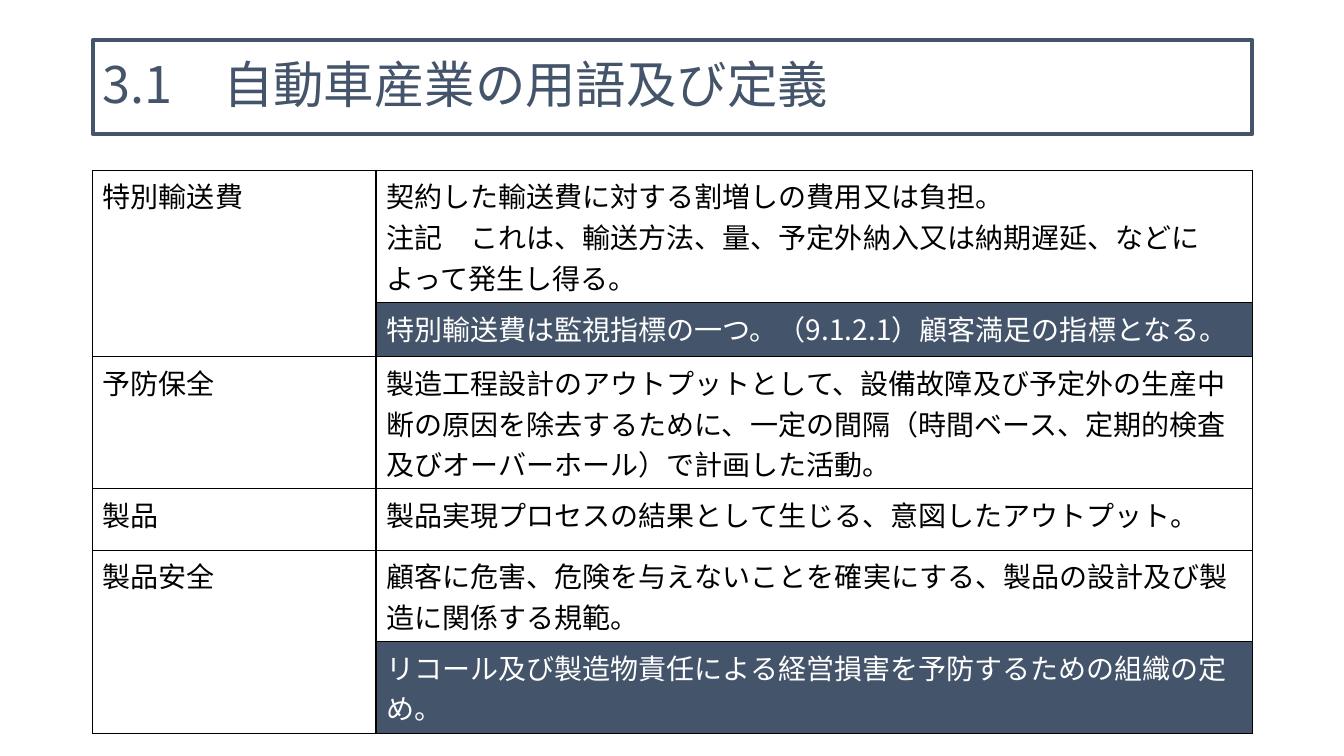
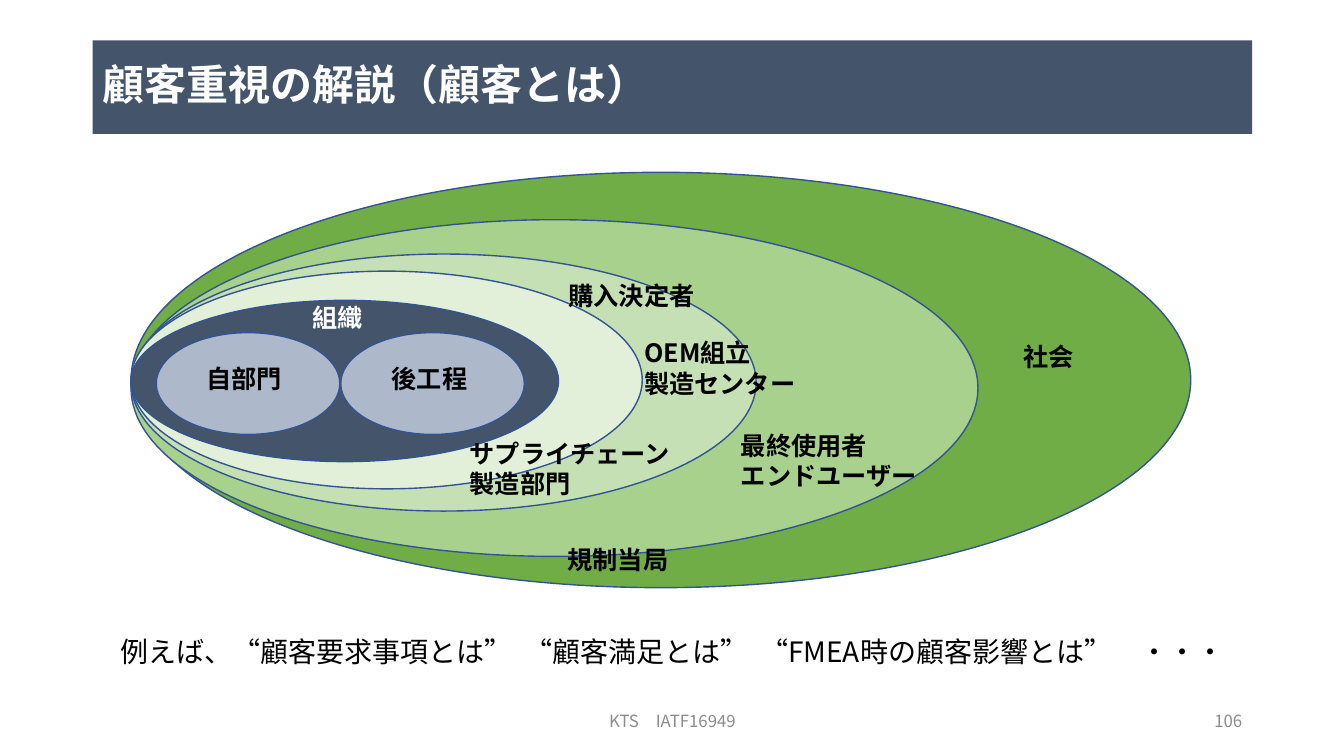
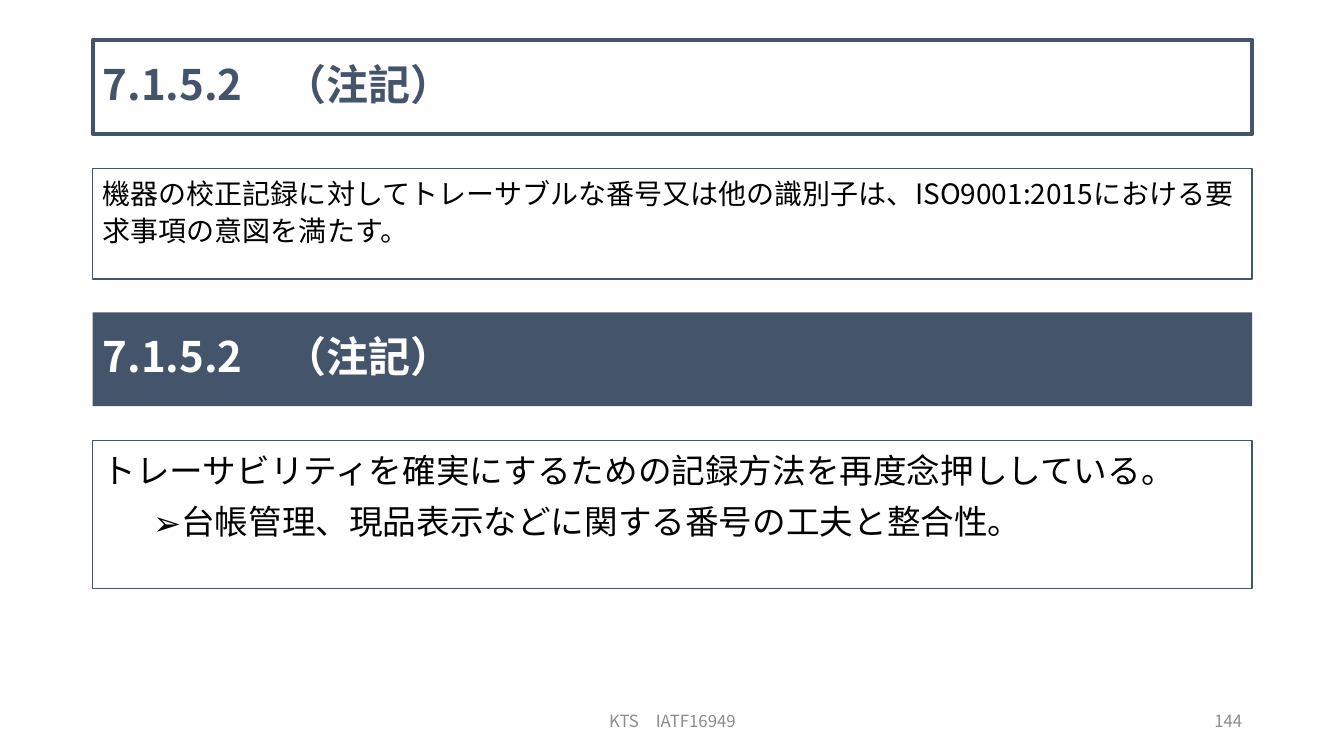
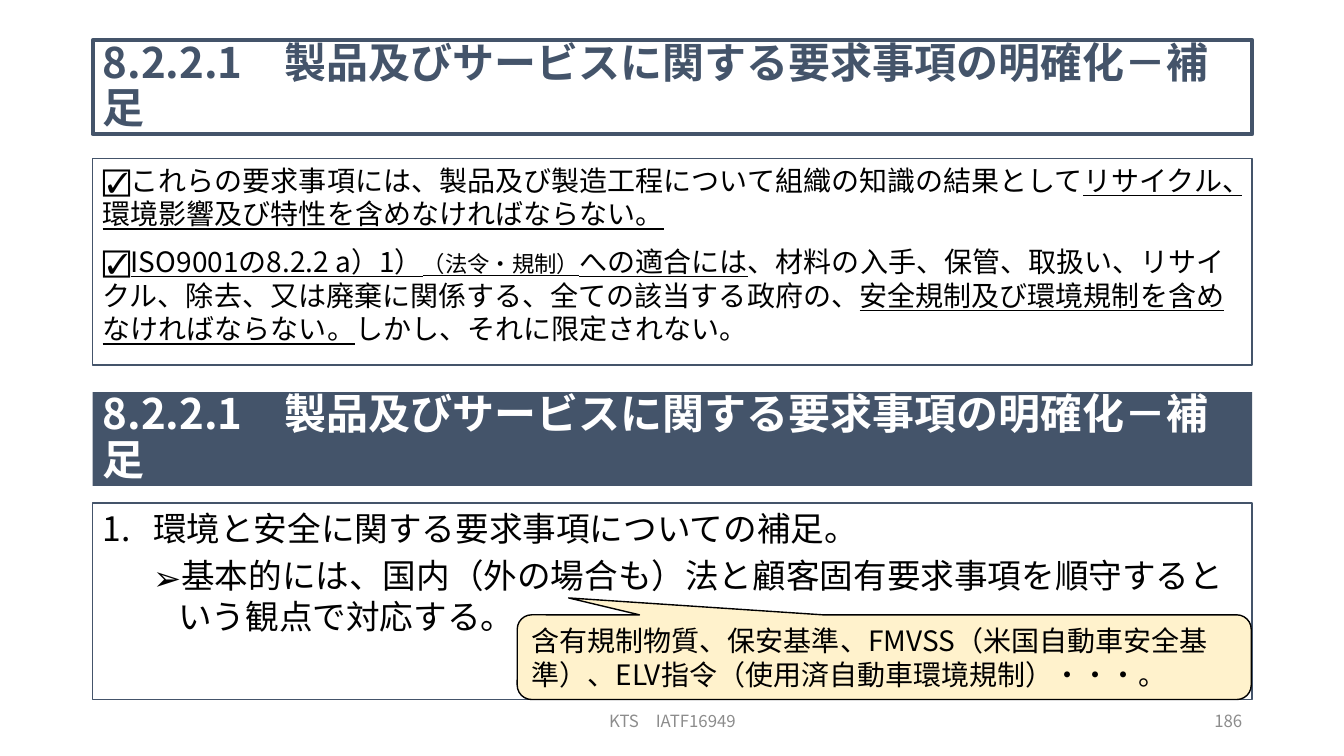
from collections.abc import Sequence
from dataclasses import dataclass, field
from typing import Any, NamedTuple

import lxml.etree
import pptx
import pptx.dml.color
import pptx.enum.shapes
import pptx.enum.text
import pptx.oxml.ns
import pptx.util

SHAPE = pptx.enum.shapes.MSO_SHAPE
ALIGN = pptx.enum.text.PP_ALIGN
ANCHOR = pptx.enum.text.MSO_ANCHOR
EMU_PER_PX = 9144  # 100 px to the inch


@dataclass(frozen=True)
class Theme:
    font: str = "Noto Sans CJK JP"
    navy: str = "44546A"
    white: str = "FFFFFF"
    black: str = "000000"
    grey: str = "8C8C8C"
    outline: str = "325491"
    cream: str = "FFF2CC"
    steel: str = "ADB9CA"
    greens: tuple[str, ...] = ("70AD47", "A9D18E", "C5E0B4", "E2F0D9")
    term_title: int = 36
    title: int = 30
    lead: int = 24
    body: int = 20
    label: int = 18
    aside: int = 16
    footer: int = 12
    tight: int = -12


THEME = Theme()


class Box(NamedTuple):
    left: int
    top: int
    width: int
    height: int


LEFT, WIDTH = 92, 1150
BAR_HEIGHT = 93
TITLE_TOP = 40


@dataclass(frozen=True)
class Span:
    text: str
    format: dict[str, Any] = field(default_factory=dict)
    tracking: int = 0


@dataclass(frozen=True)
class Bullet:
    tag: str
    attributes: dict[str, str]
    margin: int
    hanging: int
    level: int = 0


NUMBERED = Bullet("buAutoNum", {"type": "arabicPeriod"}, 50, 50)
ARROW = Bullet("buChar", {"char": "➢"}, 75, 25, 1)


@dataclass(frozen=True)
class Para:
    spans: Sequence[Span]
    before: int = 0
    bullet: Bullet | None = None


@dataclass(frozen=True)
class Style:
    size: int
    color: str = THEME.black
    bold: bool = False
    align: Any = ALIGN.LEFT
    anchor: Any = ANCHOR.TOP
    spacing: float = 1.0


@dataclass(frozen=True)
class Look:
    fill: str | None = None
    line: str | None = None
    weight: int = 1


@dataclass(frozen=True)
class Label:
    text: str
    box: Box
    color: str = THEME.black
    align: Any = ALIGN.LEFT


@dataclass(frozen=True)
class Term:
    name: str
    definition: Sequence[str]
    height: int
    remark: str = ""
    remark_height: int = 0


def px(length: int) -> pptx.util.Emu:
    return pptx.util.Emu(length * EMU_PER_PX)


def rgb(color: str) -> pptx.dml.color.RGBColor:
    return pptx.dml.color.RGBColor.from_string(color)


def plain(*lines: str) -> list[Para]:
    return [Para([Span(line)]) for line in lines]


def add_xml(parent: Any, tag: str, attributes: dict[str, str]) -> Any:
    return lxml.etree.SubElement(parent, pptx.oxml.ns.qn(f"a:{tag}"), attributes)


def apply_bullet(para: Any, bullet: Bullet) -> None:
    para.level = bullet.level
    properties = para._p.get_or_add_pPr()
    properties.set("marL", str(px(bullet.margin)))
    properties.set("indent", str(-px(bullet.hanging)))
    add_xml(properties, "buFont", {"typeface": THEME.font})
    add_xml(properties, bullet.tag, bullet.attributes)


def write(frame: Any, paras: Sequence[Para], style: Style) -> None:
    frame.word_wrap = True
    for index, content in enumerate(paras):
        para = frame.add_paragraph() if index else frame.paragraphs[0]
        if content.bullet:
            apply_bullet(para, content.bullet)
        para.alignment = style.align
        para.line_spacing = style.spacing
        para.space_before = pptx.util.Pt(content.before)
        for span in content.spans:
            run = para.add_run()
            run.text = span.text
            formats = {"name": THEME.font, "size": pptx.util.Pt(style.size), "bold": style.bold}
            for name, value in (formats | span.format).items():
                setattr(run.font, name, value)
            run.font.color.rgb = rgb(style.color)
            properties = run._r.get_or_add_rPr()
            add_xml(properties, "ea", {"typeface": THEME.font})
            if span.tracking:
                properties.set("spc", str(span.tracking * 100))


def add_text(page: Any, box: Box, paras: Sequence[Para], style: Style) -> None:
    frame = page.shapes.add_textbox(*map(px, box)).text_frame
    frame.vertical_anchor = style.anchor
    write(frame, paras, style)


def add_figure(page: Any, kind: Any, box: Box, look: Look,
               paras: Sequence[Para] = (), style: Style | None = None) -> Any:
    shape = page.shapes.add_shape(kind, *map(px, box))
    shape.shadow.inherit = False
    if look.fill:
        shape.fill.solid()
        shape.fill.fore_color.rgb = rgb(look.fill)
    else:
        shape.fill.background()
    if look.line:
        shape.line.color.rgb = rgb(look.line)
        shape.line.width = pptx.util.Pt(look.weight)
    else:
        shape.line.fill.background()
    if style:
        shape.text_frame.vertical_anchor = style.anchor
        write(shape.text_frame, paras, style)
    return shape


def add_title(page: Any, text: str, top: int = TITLE_TOP, filled: bool = False,
              size: int = THEME.title) -> None:
    """Title bar, either navy or outlined in navy."""
    look = Look(fill=THEME.navy) if filled else Look(line=THEME.navy, weight=3)
    style = Style(size, THEME.white if filled else THEME.navy, bold=size == THEME.title,
                  anchor=ANCHOR.MIDDLE, spacing=0.9)
    add_figure(page, SHAPE.RECTANGLE, Box(LEFT, top, WIDTH, BAR_HEIGHT), look, plain(text), style)


def add_panel(page: Any, top: int, height: int, paras: Sequence[Para],
              size: int, spacing: float = 1.0) -> None:
    add_figure(page, SHAPE.RECTANGLE, Box(LEFT, top, WIDTH, height),
               Look(line=THEME.navy), paras, Style(size, spacing=spacing))


def add_footer(page: Any, number: int) -> None:
    entries = (
        (Box(442, 695, 450, 40), "KTS　IATF16949", ALIGN.CENTER),
        (Box(942, 695, 300, 40), str(number), ALIGN.RIGHT),
    )
    for box, text, align in entries:
        add_text(page, box, plain(text),
                 Style(THEME.footer, THEME.grey, align=align, anchor=ANCHOR.MIDDLE))


def fill_cell(cell: Any, lines: Sequence[str], highlighted: bool = False) -> None:
    write(cell.text_frame, plain(*lines),
          Style(THEME.body, THEME.white if highlighted else THEME.black))
    properties = cell._tc.get_or_add_tcPr()
    for side in ("lnL", "lnR", "lnT", "lnB"):
        border = add_xml(properties, side, {"w": str(pptx.util.Pt(1))})
        add_xml(add_xml(border, "solidFill", {}), "srgbClr", {"val": THEME.black})
    if highlighted:
        cell.fill.solid()
        cell.fill.fore_color.rgb = rgb(THEME.navy)
    else:
        cell.fill.background()


def add_terms(page: Any, terms: Sequence[Term], top: int) -> None:
    """Glossary table; a remark adds a highlighted row under its definition."""
    heights = [height for term in terms
               for height in (term.height, term.remark_height) if height]
    box = Box(LEFT, top, WIDTH, sum(heights))
    table = page.shapes.add_table(len(heights), 2, *map(px, box)).table
    table.first_row = table.horz_banding = False
    for column, width in zip(table.columns, (281, 869)):
        column.width = px(width)
    for row, height in zip(table.rows, heights):
        row.height = px(height)
    index = 0
    for term in terms:
        fill_cell(table.cell(index, 0), [term.name])
        fill_cell(table.cell(index, 1), term.definition)
        if term.remark:
            fill_cell(table.cell(index + 1, 0), [])
            fill_cell(table.cell(index + 1, 1), [term.remark], highlighted=True)
            table.cell(index, 0).merge(table.cell(index + 1, 0))
        index += 2 if term.remark else 1


def build_terms(page: Any) -> None:
    add_title(page, "3.1　自動車産業の用語及び定義", size=THEME.term_title)
    add_terms(page, (
        Term("特別輸送費",
             ("契約した輸送費に対する割増しの費用又は負担。",
              "注記　これは、輸送方法、量、予定外納入又は納期遅延、などによって発生し得る。"), 117,
             "特別輸送費は監視指標の一つ。（9.1.2.1）顧客満足の指標となる。", 54),
        Term("予防保全",
             ("製造工程設計のアウトプットとして、設備故障及び予定外の生産中断の原因を除去するために、"
              "一定の間隔（時間ベース、定期的検査及びオーバーホール）で計画した活動。",), 117),
        Term("製品", ("製品実現プロセスの結果として生じる、意図したアウトプット。",), 61),
        Term("製品安全",
             ("顧客に危害、危険を与えないことを確実にする、製品の設計及び製造に関係する規範。",), 89,
             "リコール及び製造物責任による経営損害を予防するための組織の定め。", 89),
    ), top=169)


def build_customers(page: Any) -> None:
    add_footer(page, 106)
    add_title(page, "顧客重視の解説（顧客とは）", filled=True)
    nested = (Box(130, 171, 1051, 412), Box(130, 218, 840, 334), Box(130, 252, 620, 255),
              Box(130, 269, 507, 216), Box(130, 298, 424, 160))
    departments = tuple(Box(left, 330, 182, 101) for left in (155, 338))
    colors = (*THEME.greens, THEME.navy, THEME.steel, THEME.steel)
    for box, color in zip(nested + departments, colors):
        add_figure(page, SHAPE.OVAL, box, Look(color, THEME.outline))
    labels = (
        Label("OEM組立\n製造センター", Box(629, 330, 252, 86)),
        Label("自部門", Box(163, 356, 158, 37), align=ALIGN.CENTER),
        Label("社会", Box(1005, 334, 158, 49)),
        Label("後工程", Box(347, 356, 158, 37), align=ALIGN.CENTER),
        Label("組織", Box(256, 295, 158, 37), THEME.white, ALIGN.CENTER),
        Label("サプライチェーン\n製造部門", Box(456, 430, 233, 65)),
        Label("購入決定者", Box(554, 273, 252, 49)),
        Label("最終使用者\nエンドユーザー", Box(725, 422, 257, 86)),
        Label("規制当局", Box(553, 535, 252, 49)),
    )
    for label in labels:
        add_text(page, label.box, plain(*label.text.split("\n")),
                 Style(THEME.label, label.color, True, label.align))
    # Every second piece is set tight, closing the wide cells of the quotation marks.
    pieces = ("例えば", "、", "“顧客要求事項とは", "”　", "“顧客満足とは", "”　",
              "“FMEA時の顧客影響とは", "”", "　・・・")
    examples = Para([Span(piece, tracking=THEME.tight * (index % 2))
                     for index, piece in enumerate(pieces)])
    add_text(page, Box(LEFT, 602, WIDTH, 89), [examples],
             Style(THEME.body, align=ALIGN.CENTER, anchor=ANCHOR.MIDDLE))


def build_traceability(page: Any) -> None:
    heading = "7.1.5.2　（注記）"
    add_footer(page, 144)
    add_title(page, heading)
    add_panel(page, 167, 110, plain(
        "機器の校正記録に対してトレーサブルな番号又は他の識別子は、"
        "ISO9001:2015における要求事項の意図を満たす。"), THEME.body, 1.1)
    add_title(page, heading, top=310, filled=True)
    add_panel(page, 437, 147, (
        Para([Span("トレーサビリティを確実にするための記録方法を再度念押ししている。")]),
        Para([Span("台帳管理、現品表示などに関する番号の工夫と整合性。")], 5, ARROW),
    ), THEME.lead, 1.1)


def build_requirements(page: Any) -> None:
    heading = "8.2.2.1　製品及びサービスに関する要求事項の明確化－補足"
    underlined = {"underline": True}
    add_footer(page, 186)
    add_title(page, heading)
    add_panel(page, 157, 205, (
        Para([Span("☑これらの要求事項には、製品及び製造工程について組織の知識の結果として"),
              Span("リサイクル、環境影響及び特性を含めなければならない。", underlined)]),
        Para([Span("☑"),
              Span("ISO9001の8.2.2 a）1）", underlined),
              Span("（法令・規制）", underlined | {"size": pptx.util.Pt(THEME.aside)}),
              Span("への適合には", underlined),
              Span("、材料の入手、保管、取扱い、リサイクル、除去、又は廃棄に関係する、"
                   "全ての該当する政府の、"),
              Span("安全規制及び環境規制を含めなければならない。", underlined),
              Span("しかし、それに限定されない。")], 10),
    ), THEME.body)
    add_title(page, heading, top=389, filled=True)
    add_panel(page, 499, 195, (
        Para([Span("環境と安全に関する要求事項についての補足。")], bullet=NUMBERED),
        Para([Span("基本的には、国内（外の場合も）法と顧客固有要求事項を順守するという観点で対応する。")],
             5, ARROW),
    ), THEME.lead)
    callout = add_figure(
        page, SHAPE.ROUNDED_RECTANGULAR_CALLOUT, Box(513, 610, 728, 84),
        Look(THEME.cream, THEME.black),
        plain("含有規制物質、保安基準、FMVSS（米国自動車安全基準）、"
              "ELV指令（使用済自動車環境規制）・・・。"),
        Style(THEME.body, anchor=ANCHOR.MIDDLE))
    for index, value in enumerate((-0.43, -0.7, 0.17)):
        callout.adjustments[index] = value


def main() -> None:
    deck = pptx.Presentation()
    deck.slide_width, deck.slide_height = px(1333), px(750)
    blank = deck.slide_layouts[6]
    for build in (build_terms, build_customers, build_traceability, build_requirements):
        build(deck.slides.add_slide(blank))
    deck.save("out.pptx")


if __name__ == "__main__":
    main()
